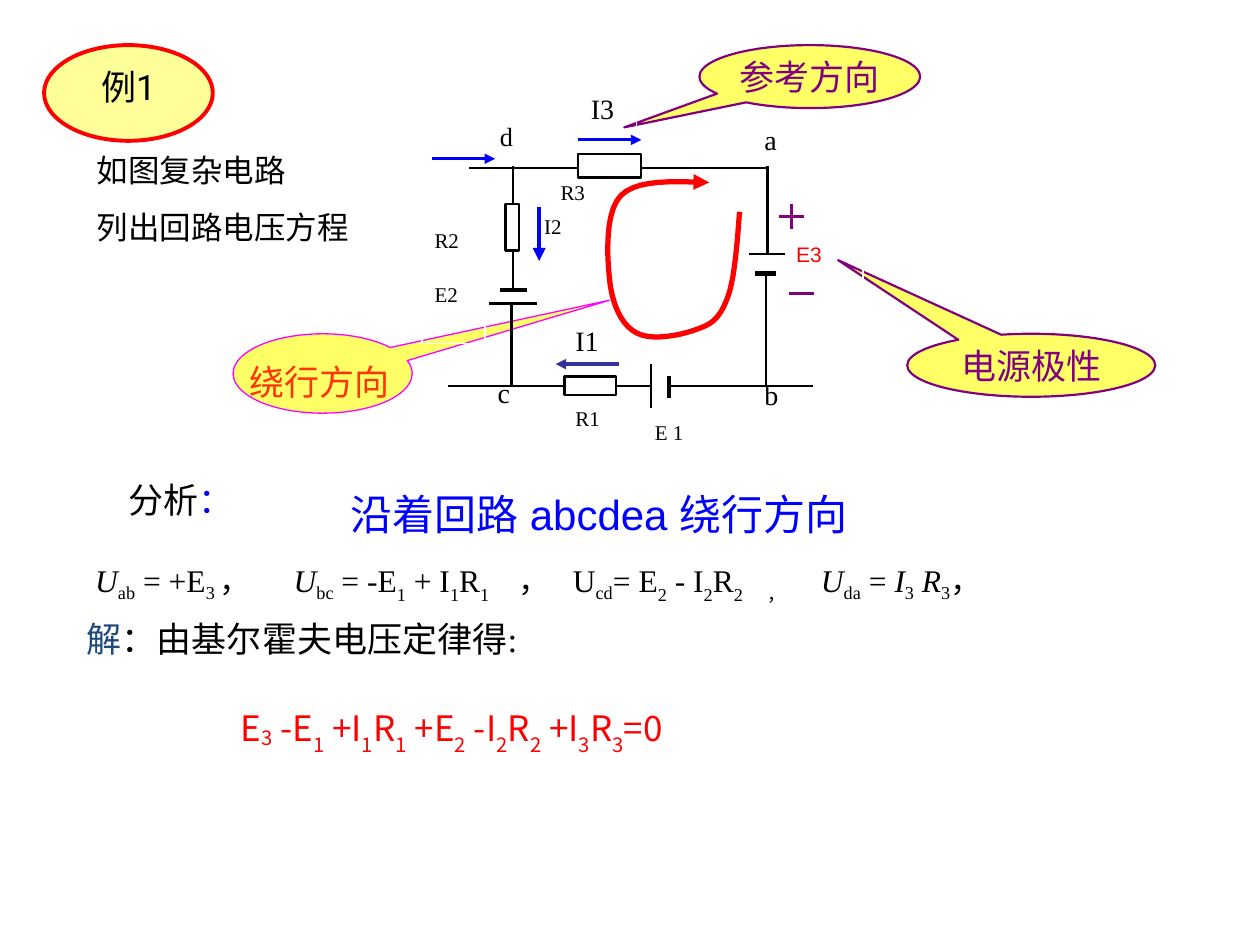
from pptx import Presentation
from pptx.dml.color import RGBColor
from pptx.enum.shapes import MSO_CONNECTOR, MSO_SHAPE
from pptx.enum.text import MSO_ANCHOR, MSO_AUTO_SIZE, PP_ALIGN
from pptx.oxml.ns import qn
from pptx.util import Cm, Pt
from lxml.etree import SubElement

hue = {
    "black": "000000", "white": "FFFFFF", "red": "FF0000", "blue": "0000FF",
    "navy": "333399", "steel": "1F497D", "plum": "800080", "pink": "FF00FF",
    "flame": "FF3300", "cream": "FFFF99", "lemon": "FFFF66",
}
hue = {name: RGBColor.from_string(code) for name, code in hue.items()}
serif, sans, han = "Times New Roman", "Arial", "Noto Sans CJK SC"

deck = Presentation()
deck.slide_width, deck.slide_height = Cm(25.4), Cm(19.05)
slide = deck.slides.add_slide(deck.slide_layouts[6])
shapes = slide.shapes


def ink(runs, size, tint="black", face=serif):
    for run in runs:
        run.font.size = Pt(size)
        run.font.name = face
        run.font.color.rgb = hue[tint]
        east = SubElement(run._r.rPr, qn("a:ea"))
        east.set("typeface", sans)


def box(spot, text="", kind=None, fill=None, edge=None, width=0.75,
        align=None, wrap=True):
    place = [Cm(v) for v in spot]
    if kind is None:
        item = shapes.add_textbox(*place)
        item.text_frame.auto_size = MSO_AUTO_SIZE.SHAPE_TO_FIT_TEXT
    else:
        item = shapes.add_shape(kind, *place)
        item.shadow.inherit = False
        item.line.color.rgb = hue[edge]
        item.line.width = Pt(width)
        if fill:
            item.fill.solid()
            item.fill.fore_color.rgb = hue[fill]
        else:
            item.fill.background()
    frame = item.text_frame
    frame.vertical_anchor = MSO_ANCHOR.TOP
    frame.word_wrap = wrap
    frame.text = text
    for para in frame.paragraphs:
        para.alignment = align
    return item


law = box((1.7, 13.72, 14.81, 1.65), kind=MSO_SHAPE.RECTANGLE, edge="white",
          width=2, align=PP_ALIGN.CENTER).text_frame.paragraphs[0]
volts = box((1.3, 10.52, 20.8, 1.8),
            align=PP_ALIGN.JUSTIFY).text_frame.paragraphs[0]
stops = SubElement(volts._p.get_or_add_pPr(), qn("a:tabLst"))
for stop in (0.37, 4.37, 8.9, 10.0, 13.92, 15.0):
    tab = SubElement(stops, qn("a:tab"))
    tab.set("pos", str(Cm(stop)))
    tab.set("algn", "l")

sums = [
    (law, "E|3| -E|1| +I|1|R|1| +E|2| -I|2|R|2| +I|3|R|3|=0", 20, "red", han),
    (volts, "\t||U|ab| = +E|3 |，\t||U|bc| = -E|1| + I|1|R|1|\t，\tU|cd|= E|2"
            "| - I|2|R|2\t，\t|U|da| = ||I|3| R|3|，|| ", 18, "black", serif),
]
for para, text, size, tint, face in sums:
    para.line_spacing = 1.4
    for spot, piece in enumerate(text.split("|")):
        if piece:
            run = para.add_run()
            run.text = piece
            if spot % 2:
                run._r.get_or_add_rPr().set("baseline", "-30000")
    ink(para.runs, size, tint, face)
law.runs[1]._r.rPr.set("baseline", "-10000")
for run in volts.runs:
    if run.text in ("U", "I", " R"):
        run.font.italic = True
    elif run.text.strip() in ("ab", "bc", "cd", "da", "3"):
        run._r.rPr.set("baseline", "-25000")
volts.runs[-1].font.size = Pt(24)

title = box((0.89, 0.91, 3.4, 1.93), "例1", MSO_SHAPE.OVAL, "cream", "red",
            2.25, PP_ALIGN.CENTER)
ink(title.text_frame.paragraphs[0].runs, 20, face="Roboto")

task = box((1.7, 2.92, 5.99, 2.18), "如图复杂电路\n列出回路电压方程")
for para in task.text_frame.paragraphs:
    ink(para.runs, 18)
task.text_frame.paragraphs[1].space_before = Pt(11.2)

hints = [
    ((4.7, 6.73, 3.61, 1.6), " 绕行方向", "flame", "pink", 0.75, 1.603, -0.924),
    ((18.29, 6.73, 5, 1.27), "电源极性", "plum", "plum", 1.25, -0.779, -1.67),
    ((14.1, 0.91, 4.45, 1.27), "参考方向", "plum", "plum", 1.25, -0.84, 0.806),
]
for spot, text, tint, edge, width, across, down in hints:
    hint = box(spot, text, MSO_SHAPE.OVAL_CALLOUT, "lemon", edge, width,
               PP_ALIGN.CENTER, False)
    hint.adjustments[0], hint.adjustments[1] = across, down
    hint.text_frame.vertical_anchor = MSO_ANCHOR.MIDDLE
    para = hint.text_frame.paragraphs[0]
    ink(para.runs, 20, tint)
    if edge == "pink":
        tail = para.add_run()
        tail.text = " "
        ink([tail], 32)

route = box((6.81, 9.32, 11.4, 1.68), "沿着回路 abcdea 绕行方向")
route.text_frame.paragraphs[0].line_spacing = 1.4
ink(route.text_frame.paragraphs[0].runs, 24, "blue", sans)

labels = [
    ("I1", 11.35, 6.4, 1.17, 1.09, 16), ("E2", 8.51, 5.56, 1.27, 1.37, 12),
    ("R1", 11.35, 8.05, 1.57, 1.09, 12), ("I3", 11.66, 1.73, 1.17, 1.09, 16),
    ("R3", 11.05, 3.49, 1.17, 1.09, 12), ("a", 15.16, 2.34, 0.94, 1.37, 16),
    ("d", 9.83, 2.31, 0.94, 1.09, 15), ("E 1", 12.95, 8.33, 1.27, 0.81, 12),
    ("R2", 8.51, 4.47, 1.27, 0.81, 12), ("c", 9.78, 7.44, 1.27, 1.09, 16),
    ("I2", 10.72, 4.19, 1.27, 0.81, 12), ("b", 15.16, 7.49, 0.97, 1.09, 16),
    ("E3", 15.8, 4.75, 1.6, 1.09, 12),
]
for text, *spot, size in labels:
    label = box(spot, text, MSO_SHAPE.RECTANGLE, edge="white",
                align=PP_ALIGN.JUSTIFY)
    style = ("red", sans) if text == "E3" else ("black", serif)
    ink(label.text_frame.paragraphs[0].runs, size, *style)

wires = [
    (9.45, 3.38, 15.44, 3.38), (10.34, 3.35, 10.34, 5.84),
    (9.86, 6.12, 10.82, 6.12), (10.31, 6.12, 10.31, 7.78),
    (9.04, 7.78, 13.13, 7.78), (13.13, 7.34, 13.13, 8.23),
    (13.49, 7.78, 16.38, 7.78), (15.47, 3.35, 15.47, 5.13),
    (15.09, 5.12, 15.82, 5.12), (15.44, 5.54, 15.44, 7.8),
]
plates = [(10.08, 5.84, 10.62, 5.84), (13.49, 7.57, 13.49, 8.03),
          (15.21, 5.51, 15.65, 5.51)]
signs = [(15.9, 5.92, 16.41, 5.92), (15.7, 4.37, 16.21, 4.37),
         (15.95, 4.11, 15.95, 4.62)]
lines = [(ends, "black", 1.25, False) for ends in wires]
lines += [(ends, "black", 2.5, False) for ends in plates]
lines += [(ends, "plum", 1.5, False) for ends in signs]
lines += [
    ((11.66, 2.82, 12.93, 2.82), "blue", 1.75, True),
    ((10.87, 4.17, 10.87, 5.26), "blue", 2.5, True),
    ((12.47, 7.34, 11.2, 7.34), "navy", 2, True),
    ((8.71, 3.2, 9.98, 3.2), "blue", 1.75, True),
]
for ends, tint, width, head in lines:
    wire = shapes.add_connector(MSO_CONNECTOR.STRAIGHT, *[Cm(v) for v in ends])
    wire.line.color.rgb = hue[tint]
    wire.line.width = Pt(width)
    if head:
        SubElement(wire.line._ln, qn("a:tailEnd")).set("type", "triangle")
    SubElement(wire._element.spPr, qn("a:effectLst"))

for spot in ((11.66, 3.1, 1.27, 0.48), (10.19, 4.11, 0.28, 0.94),
             (11.38, 7.59, 1.04, 0.38)):
    box(spot, "", MSO_SHAPE.RECTANGLE, "white", "black", 1.25)

knots = [
    (14.91, 4.27), (14.86, 4.93), (14.81, 5.59), (14.68, 5.97), (14.53, 6.38),
    (14.38, 6.53), (14.07, 6.63), (13.74, 6.76), (13.13, 6.88), (12.83, 6.71),
    (12.52, 6.55), (12.34, 6.12), (12.29, 5.64), (12.24, 5.18), (12.19, 4.27),
    (12.52, 3.94), (12.85, 3.61), (13.59, 3.66), (14.3, 3.68),
]
steps = 10
curve = []
for first in range(0, len(knots) - 1, 3):
    for step in range(1, steps + 1):
        t = step / steps
        parts = ((1 - t) ** 3, 3 * t * (1 - t) ** 2, 3 * t * t * (1 - t), t ** 3)
        curve.append([Cm(sum(part * knot[axis] for part, knot
                             in zip(parts, knots[first:first + 4])))
                      for axis in (0, 1)])
pen = shapes.build_freeform(Cm(knots[0][0]), Cm(knots[0][1]))
pen.add_line_segments(curve, close=False)
loop = pen.convert_to_shape()
loop.shadow.inherit = False
loop.fill.background()
loop.line.color.rgb = hue["red"]
loop.line.width = Pt(3)
SubElement(loop.line._ln, qn("a:tailEnd")).set("type", "triangle")

notes = [
    ((1.5, 12.32, 9.4, 1.12), "解", "steel", "：由基尔霍夫电压定律得:", "black", True),
    ((2.34, 9.53, 2.62, 1.12), "分析", "black", "：", "blue", False),
]
for spot, lead, tint, rest, shade, wrap in notes:
    para = box(spot, lead, wrap=wrap).text_frame.paragraphs[0]
    ink(para.runs, 20, tint)
    run = para.add_run()
    run.text = rest
    ink([run], 20, shade)

deck.save("out.pptx")
